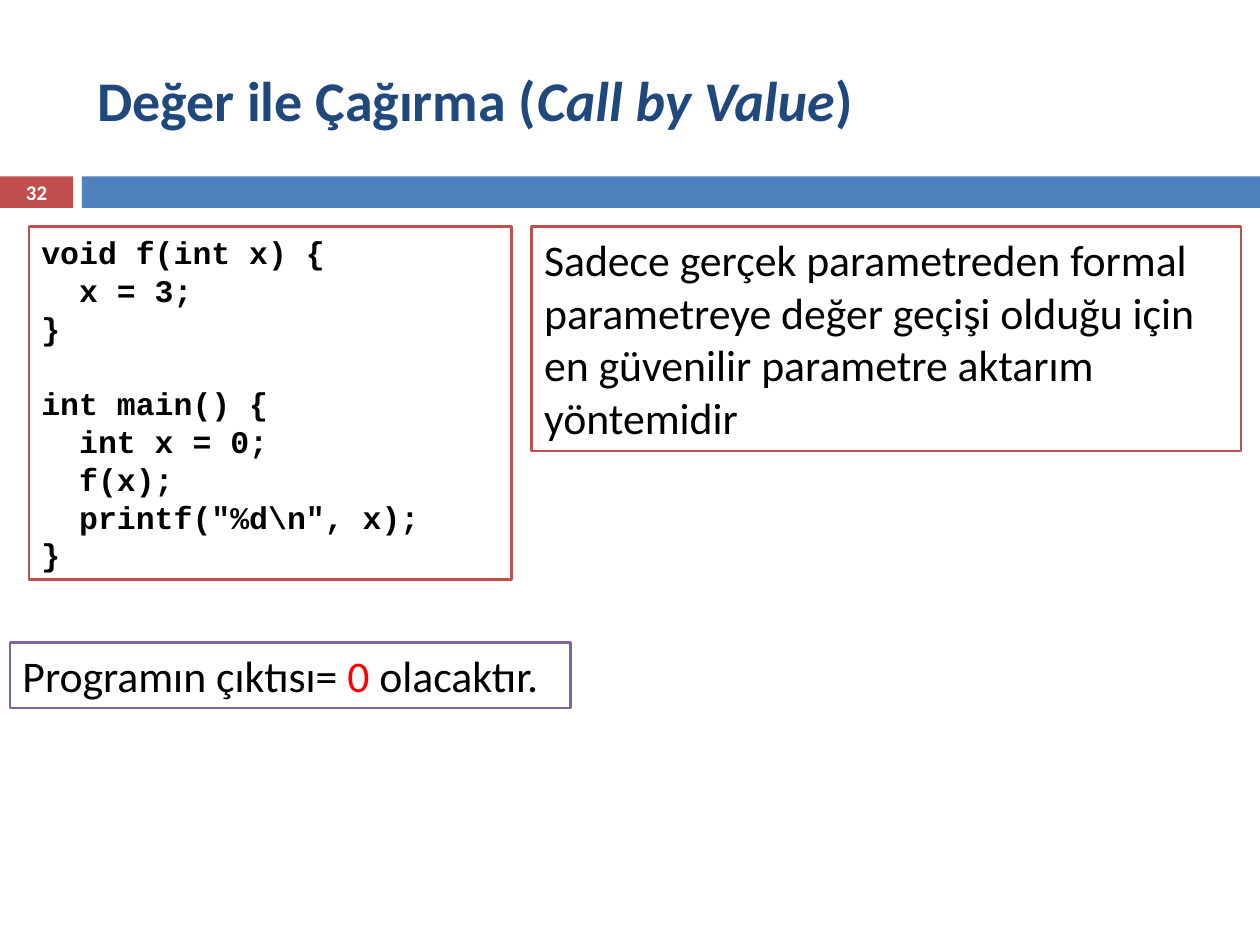
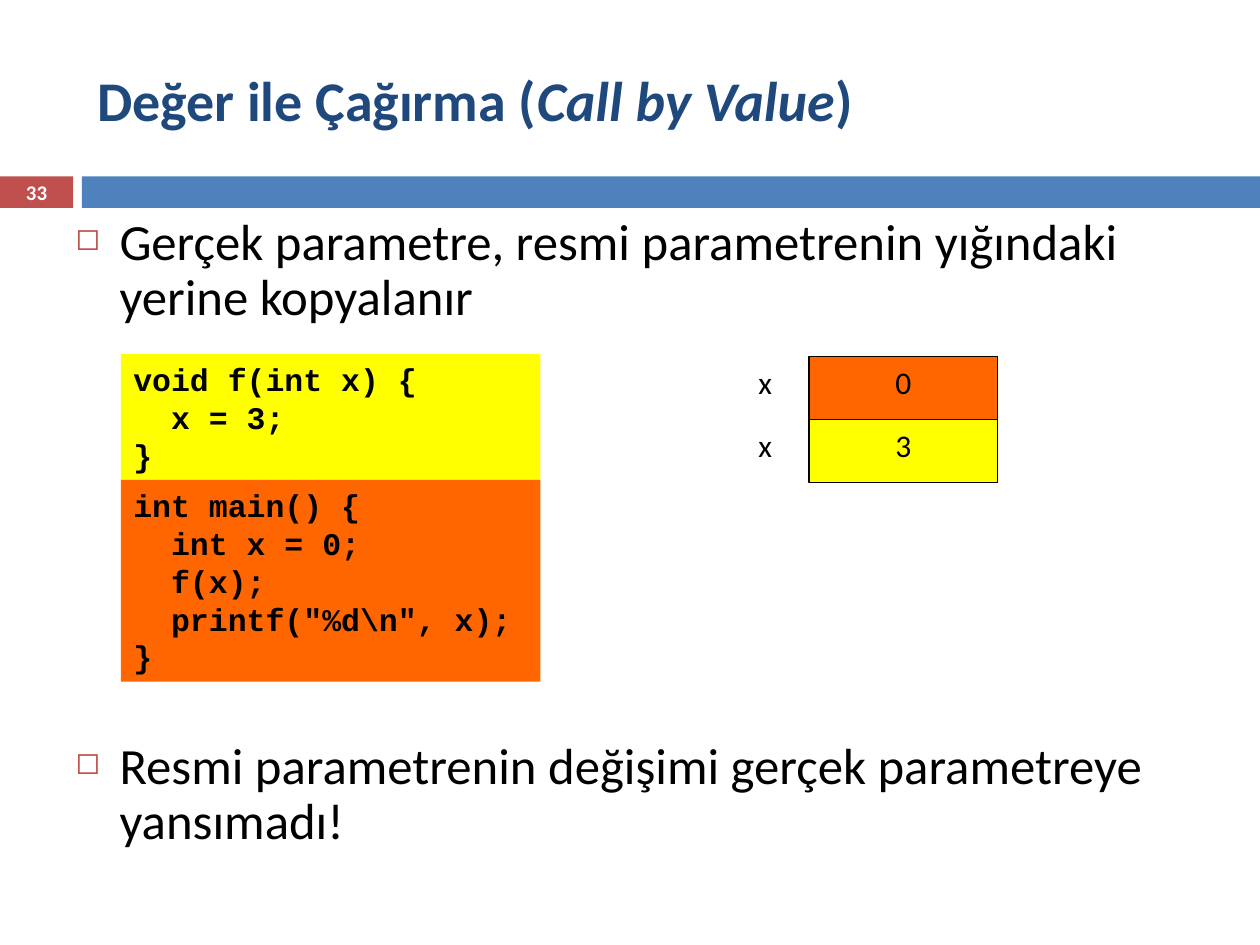
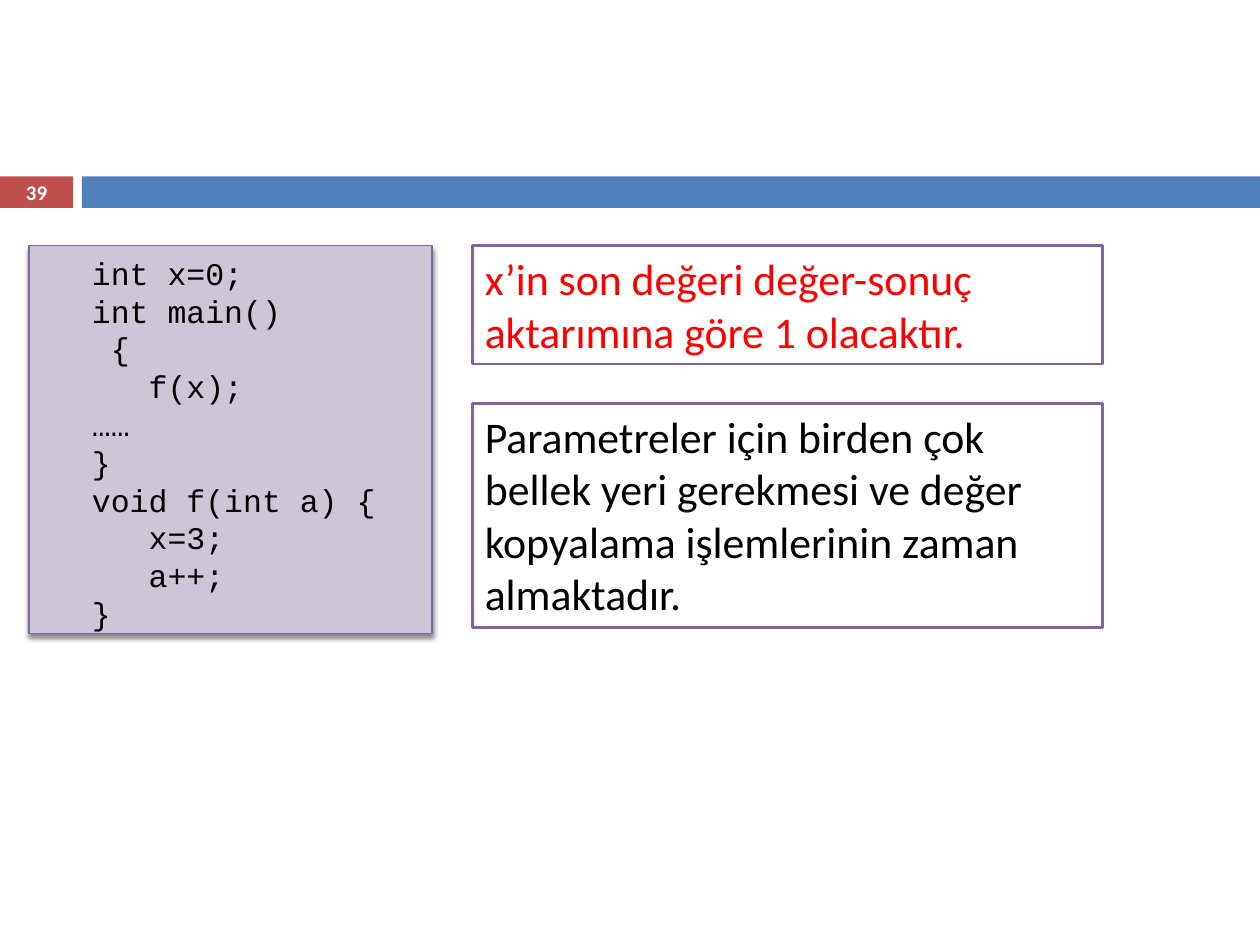
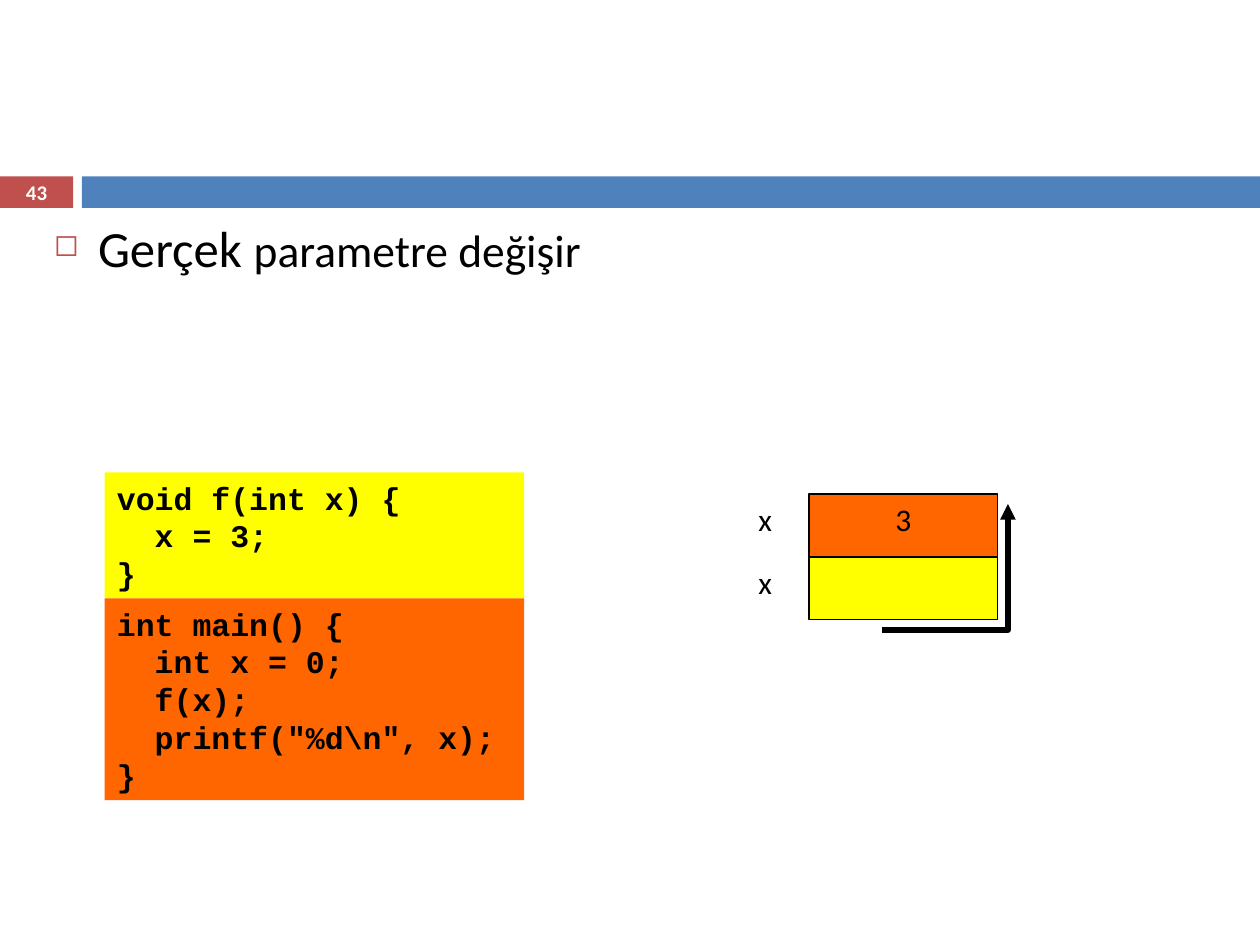
from dataclasses import dataclass

from lxml import etree
from pptx import Presentation
from pptx import util as u
from pptx.dml.color import RGBColor
from pptx.enum import shapes, text
from pptx.oxml.ns import qn


@dataclass(frozen=True)
class Theme:
    sans: str = "Calibri"
    mono: str = "Courier New"
    black: str = "000000"
    white: str = "FFFFFF"
    navy: str = "1F497D"
    blue: str = "4F81BD"
    brick: str = "C0504D"
    purple: str = "8064A2"
    lilac: str = "CDC6D7"
    red: str = "FF0000"
    orange: str = "FF6600"
    yellow: str = "FFFF00"
    title: float = 32
    bullet: float = 29
    bullet_small: float = 26
    note: float = 25
    code: float = 18
    number: float = 11.9


T = Theme()
WIDTH, HEIGHT = 10, 7.5
BAND_TOP, BAND_H, TAB_W, BAND_X = 1.4, 0.25, 0.58, 0.65
CODE_LINE, NOTE_LINE, PAD = 0.3, 0.42, 0.1
CODE_W, CELL_X, CELL_W, CELL_H, LABEL_X = 3.33, 6.42, 1.5, 0.5, 5.92

# A paragraph is a list of (text, format) runs.
TITLE = [("Değer ile Çağırma (", {}), ("Call by Value", {"italic": True}), (")", {})]
FUNCTION = ["void f(int x) {", "  x = 3;", "}"]
MAIN = ["int main() {", "  int x = 0;", "  f(x);", '  printf("%d\\n", x);', "}"]
GLOBAL_CODE = ["int x=0;", "int main()", " {", "   f(x);", "……", "}",
               "void f(int a) {", "   x=3;", "   a++;", "}"]
OUTPUT = [("Programın çıktısı= ", {}), ("0 ", {"color": T.red}), ("olacaktır.", {})]
SAFEST = [("Sadece gerçek parametreden formal parametreye değer geçişi olduğu için "
           "en güvenilir parametre aktarım yöntemidir", {})]
RESULT = [("x’in son değeri değer-sonuç aktarımına göre 1 olacaktır.", {"color": T.red})]
COST = [("Parametreler için birden çok bellek yeri gerekmesi ve değer kopyalama "
         "işlemlerinin zaman almaktadır.", {})]
COPIED = [[("Gerçek parametre, resmi parametrenin yığındaki yerine kopyalanır", {})],
          [("Resmi parametrenin değişimi gerçek parametreye yansımadı!", {})]]
CHANGED = [[("Gerçek ", {}), ("parametre değişir", {"size": T.bullet_small})]]
ARROW = [(7.08, 4.67), (7.53, 4.71), (7.99, 4.75), (8.17, 4.67), (8.35, 4.58),
         (8.19, 4.25), (8.17, 4.17), (8.14, 4.08), (8.07, 4.12), (8, 4.17)]


def inches(*values):
    return [u.Inches(v) for v in values]


def xml(parent, tag, **attrs):
    return etree.SubElement(parent, qn(tag), {k: str(v) for k, v in attrs.items()})


def write(tf, paragraphs, align=text.PP_ALIGN.LEFT, **base):
    """Fill a text frame; run formats override the base format."""
    for i, runs in enumerate(paragraphs):
        p = tf.add_paragraph() if i else tf.paragraphs[0]
        p.alignment = align
        for words, own in runs:
            r = p.add_run()
            r.text = words
            form = {"name": T.sans, "color": T.black, **base, **own}
            r.font.color.rgb = RGBColor.from_string(form.pop("color"))
            form["size"] = u.Pt(form["size"])
            for key, value in form.items():
                setattr(r.font, key, value)


def rect(s, at, fill, line=None, weight=1.5):
    sp = s.shapes.add_shape(shapes.MSO_SHAPE.RECTANGLE, *inches(*at))
    sp.shadow.inherit = False
    sp.fill.solid()
    sp.fill.fore_color.rgb = RGBColor.from_string(fill)
    if line:
        sp.line.color.rgb = RGBColor.from_string(line)
        sp.line.width = u.Pt(weight)
    else:
        sp.line.fill.background()
    sp.text_frame.word_wrap = True
    sp.text_frame.vertical_anchor = text.MSO_ANCHOR.TOP
    return sp


def textbox(s, at, wrap=True):
    tf = s.shapes.add_textbox(*inches(*at)).text_frame
    tf.word_wrap = wrap
    return tf


def code(s, x, y, w, lines, fill, line=None, bold=True, h=None, weight=1.5):
    """Draw a listing and return its shape; the height follows the line count."""
    h = h or len(lines) * CODE_LINE + PAD
    sp = rect(s, (x, y, w, h), fill, line, weight)
    write(sp.text_frame, [[(row, {})] for row in lines],
          name=T.mono, size=T.code, bold=bold)
    return sp


def note(s, x, y, w, rows, runs, line):
    sp = rect(s, (x, y, w, rows * NOTE_LINE + PAD), T.white, line)
    write(sp.text_frame, [runs], size=T.note)


def bullets(s, at, items, gap=0, spacing=1.0):
    tf = textbox(s, at)
    write(tf, items, size=T.bullet)
    for i, p in enumerate(tf.paragraphs):
        pPr = p._p.get_or_add_pPr()
        pPr.set("marL", str(u.Inches(0.35)))
        pPr.set("indent", str(u.Inches(-0.35)))
        xml(xml(pPr, "a:buClr"), "a:srgbClr", val=T.brick)
        xml(pPr, "a:buSzPct", val=60000)
        xml(pPr, "a:buChar", char="◻")
        p.line_spacing = spacing
        if i:
            p.space_before = u.Pt(gap)


def call_code(s, x, y):
    code(s, x, y, CODE_W, FUNCTION, T.yellow)
    code(s, x, y + len(FUNCTION) * CODE_LINE + PAD, CODE_W, MAIN, T.orange)


def stack(s, y, values):
    """Draw the memory cells of the caller and the callee, each labelled x."""
    for i, (value, fill) in enumerate(zip(values, (T.orange, T.yellow))):
        top = y + i * CELL_H
        write(textbox(s, (LABEL_X, top, 0.36, CELL_H), wrap=False),
              [[("x", {})]], size=T.code)
        cell = rect(s, (CELL_X, top, CELL_W, CELL_H), fill, T.black, 0.75)
        if value:
            write(cell.text_frame, [[(value, {})]], text.PP_ALIGN.CENTER, size=T.code)


def curved_arrow(s, points):
    """Draw a Bézier arrow: a start, then two controls and an end per segment."""
    (x, y), *rest = points
    builder = s.shapes.build_freeform(x, y, scale=u.Inches(1))
    builder.add_line_segments(rest, close=False)
    sp = builder.convert_to_shape()
    sp.shadow.inherit = False
    sp.fill.background()
    sp.line.color.rgb = RGBColor.from_string(T.black)
    sp.line.width = u.Pt(3)
    xml(sp.element.spPr.find(qn("a:ln")), "a:tailEnd", type="triangle")
    path = next(sp.element.iter(qn("a:path")))
    steps = path.findall(qn("a:lnTo"))
    for i in range(0, len(steps), 3):
        curve = xml(path, "a:cubicBezTo")
        for step in steps[i:i + 3]:
            curve.append(step[0])
            path.remove(step)


def drop_shadow(sp):
    effects = sp.element.spPr.find(qn("a:effectLst"))
    shadow = xml(effects, "a:outerShdw", blurRad=u.Pt(3), dist=u.Pt(2.4),
                 dir=90 * 60000, rotWithShape=0)
    xml(xml(shadow, "a:srgbClr", val=T.black), "a:alpha", val=45000)


def new_slide(prs, number, title=None):
    s = prs.slides.add_slide(prs.slide_layouts[5 if title else 6])
    if title:
        sp = s.shapes.title
        sp.left, sp.top, sp.width, sp.height = inches(0.67, 0.25, 8.92, 1.08)
        sp.text_frame.vertical_anchor = text.MSO_ANCHOR.MIDDLE
        write(sp.text_frame, [title], size=T.title, color=T.navy, bold=True)
    tf = textbox(s, (0, BAND_TOP - 0.01, TAB_W, BAND_H + 0.02))
    tf.vertical_anchor = text.MSO_ANCHOR.MIDDLE
    write(tf, [[(str(number), {})]], text.PP_ALIGN.CENTER,
          size=T.number, color=T.white, bold=True)
    return s


def bands_on_master(prs, s):
    """Build the two bands on a slide, then move them to the back of the master."""
    tree = prs.slide_master.shapes.element
    for x, w, fill in ((BAND_X, WIDTH - BAND_X, T.blue), (0, TAB_W, T.brick)):
        tree.insert(2, rect(s, (x, BAND_TOP, w, BAND_H), fill).element)
        tree[2].nvSpPr.cNvPr.set("id", str(100 + len(tree)))


def output_slide(prs):
    s = new_slide(prs, 32, TITLE)
    note(s, 0.08, 5.1, 4.45, 1, OUTPUT, T.purple)
    note(s, 4.22, 1.8, 5.63, 4, SAFEST, T.brick)
    rows = len(FUNCTION) + len(MAIN) + 1
    sp = code(s, 0.23, 1.8, 3.83, FUNCTION + MAIN, T.white, T.brick,
              h=rows * CODE_LINE + PAD)
    sp.text_frame.paragraphs[len(FUNCTION)].space_before = u.Inches(CODE_LINE)


def copy_slide(prs):
    s = new_slide(prs, 33, TITLE)
    call_code(s, 0.96, 2.81)
    stack(s, 2.83, ("0", "3"))
    bullets(s, (0.5, 1.67, 8.92, 5.45), COPIED, gap=237, spacing=0.9)


def value_result_slide(prs):
    s = new_slide(prs, 39)
    sp = code(s, 0.23, 1.95, 3.2, GLOBAL_CODE, T.lilac, T.purple,
              bold=False, h=3.08, weight=0.79)
    drop_shadow(sp)
    layout = {"margin_left": u.Inches(0.5), "margin_bottom": 0,
              "vertical_anchor": text.MSO_ANCHOR.MIDDLE}
    for key, value in layout.items():
        setattr(sp.text_frame, key, value)
    note(s, 3.75, 1.95, 5, 2, RESULT, T.purple)
    note(s, 3.75, 3.2, 5, 4, COST, T.purple)


def reference_slide(prs):
    s = new_slide(prs, 43)
    bullets(s, (0.33, 1.67, 9.5, 5.34), CHANGED)
    call_code(s, 0.83, 3.75)
    stack(s, 3.92, ("3", None))
    curved_arrow(s, ARROW)


def main():
    prs = Presentation()
    prs.slide_width, prs.slide_height = inches(WIDTH, HEIGHT)
    for build in (output_slide, copy_slide, value_result_slide, reference_slide):
        build(prs)
    bands_on_master(prs, prs.slides[0])
    prs.save("out.pptx")


if __name__ == "__main__":
    main()
